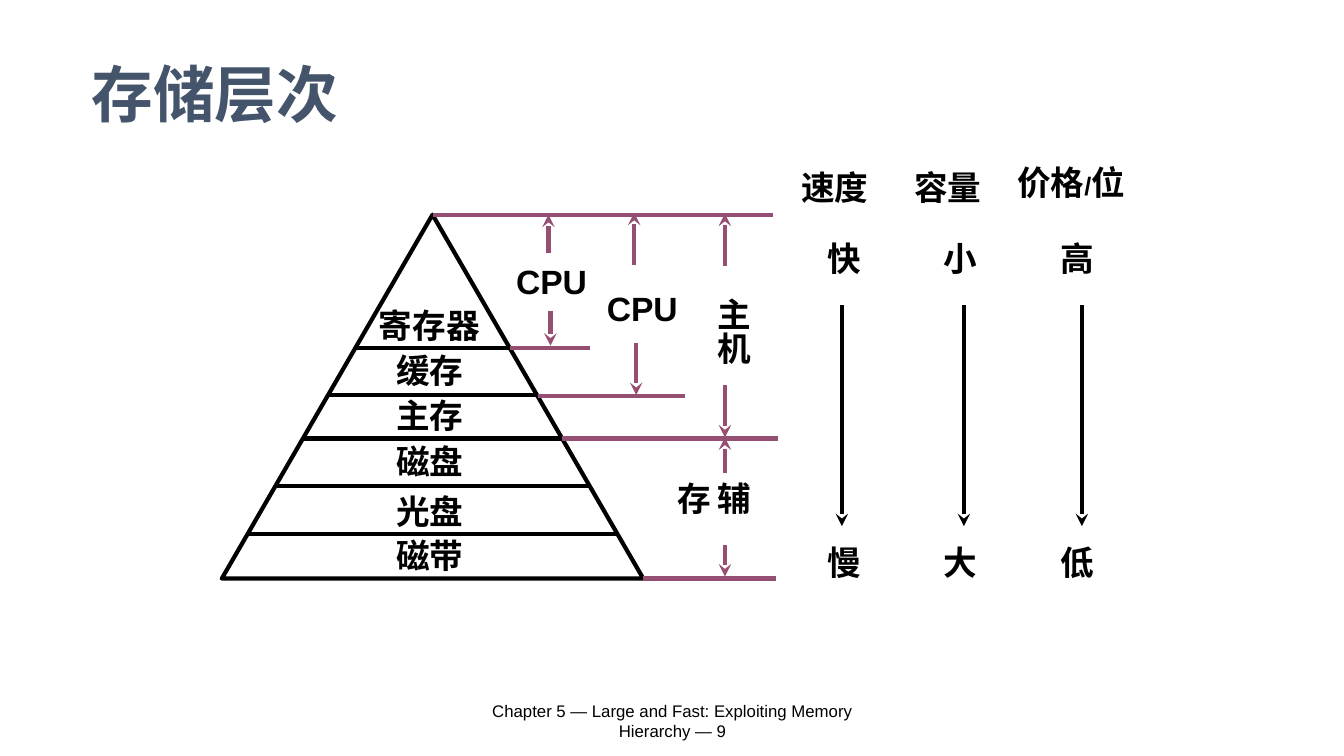
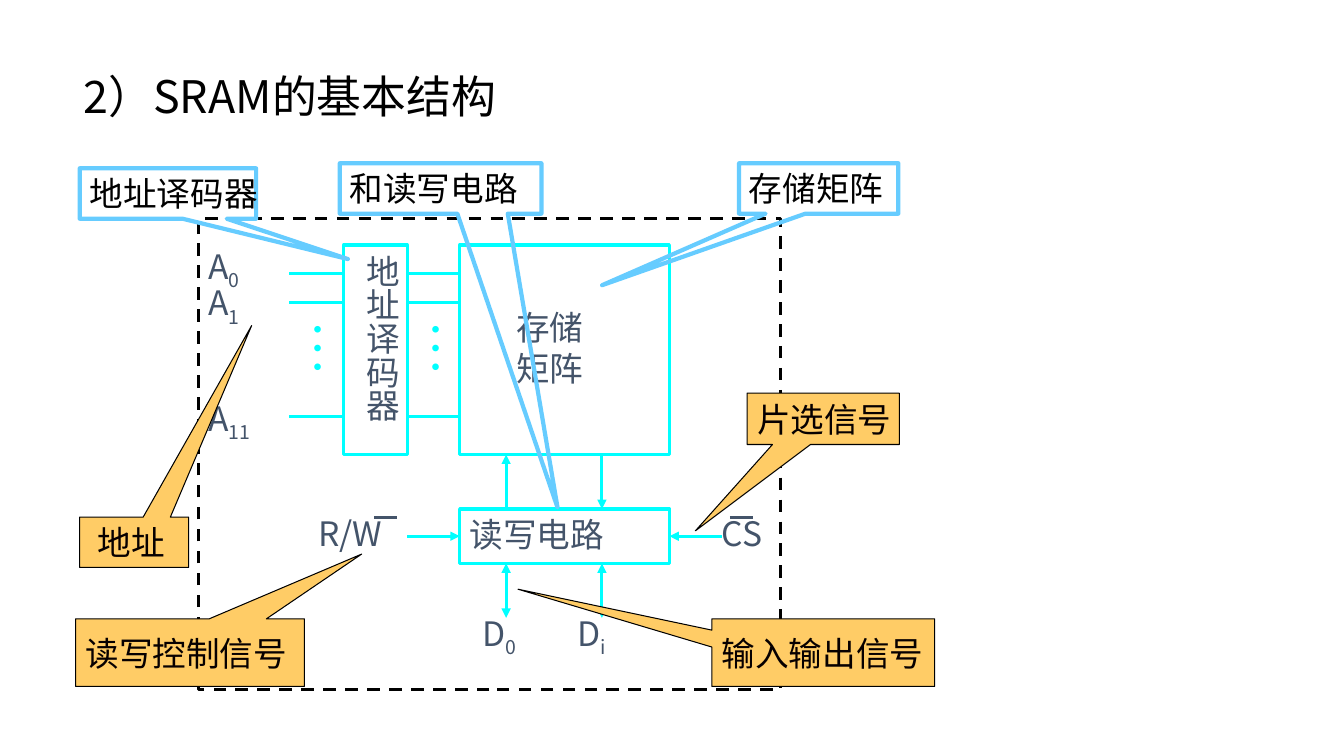
"""Build two slides: the memory hierarchy and the structure of an SRAM."""
from lxml import etree
from pptx import Presentation
from pptx.dml.color import RGBColor
from pptx.enum.dml import MSO_LINE
from pptx.enum.shapes import MSO_CONNECTOR, MSO_SHAPE
from pptx.enum.text import MSO_ANCHOR, PP_ALIGN
from pptx.oxml.ns import qn
from pptx.util import Inches, Pt

RECTANGLE, TRIANGLE = MSO_SHAPE.RECTANGLE, MSO_SHAPE.ISOSCELES_TRIANGLE
CALLOUT = MSO_SHAPE.RECTANGULAR_CALLOUT
STRAIGHT, DASH = MSO_CONNECTOR.STRAIGHT, MSO_LINE.DASH
TOP, MIDDLE = MSO_ANCHOR.TOP, MSO_ANCHOR.MIDDLE
LEFT, CENTER = PP_ALIGN.LEFT, PP_ALIGN.CENTER
LEFT_SIDE, RIGHT_SIDE = 1, 3

COLORS = {"black": "000000", "ink": "070000", "slate": "44546A", "plum": "954F72",
          "cyan": "00FFFF", "sky": "66CCFF", "amber": "FFCC66"}
ASIAN = "Noto Sans CJK SC"
ARIAL, CALIBRI, TIMES = "Arial", "Calibri", "Times New Roman"

APEX_X, APEX_Y, BASE_Y, HALF_BASE = 4.29, 2.13, 5.74, 2.09
LEVEL_LINES = [3.45, 3.92, 4.35, 4.82, 5.3]
LEVELS = [("寄存器", 3.66, 2.98, 1.21), ("缓存", 3.83, 3.42, 0.87),
          ("主存", 3.83, 3.87, 0.87), ("磁盘", 3.83, 4.33, 0.87),
          ("光盘", 3.83, 4.82, 0.87), ("磁带", 3.83, 5.26, 0.87)]
GUIDES = [(2.13, 7.67), (3.45, 5.85), (3.93, 6.79), (4.35, 7.72), (5.74, 7.7)]
SPANS = [(5.44, 2.51, 2.13), (5.46, 3.09, 3.43), (6.29, 2.63, 2.11), (6.31, 3.4, 3.92),
         (7.19, 2.64, 2.12), (7.19, 3.82, 4.34), (7.19, 4.69, 4.34), (7.19, 5.41, 5.72)]
SPAN_LABELS = [("CPU", (5.02, 2.54, 0.91, 0.51), {}),
               ("CPU", (5.92, 2.81, 0.91, 0.51), {}),
               ("主机", (6.91, 2.86, 0.61, 0.76), {"vertical": True}),
               ("辅存", (6.91, 4.68, 0.61, 0.83), {"vertical": True, "wrap": True})]
TRENDS = [("快", "慢", 8.11, 8.35), ("小", "大", 9.26, 9.56), ("高", "低", 10.42, 10.73)]
TREND_HEADS = [("速度", (7.85, 1.61, 0.88, 0.51), False),
               ("容量", (8.97, 1.61, 0.88, 0.51), False),
               ([["价格", ("/", {"size": 18}), "位"]], (9.99, 1.56, 1.29, 0.51), True)]

BUS_STARTS, BUS_ROWS, BUS_LENGTH = [2.87, 4.04], [2.71, 3, 4.13], 0.52
DATA_COLUMNS = [5.02, 5.97]
SUBSCRIPT = {"subscript": True}
ADDRESS_PINS = [["A", ("0", SUBSCRIPT)], ["A", ("1", SUBSCRIPT)], ["A", ("11", SUBSCRIPT)]]
PINS = [("R/W", (3.06, 5.04, 1.18, 0.5)), ("CS", (7.06, 5.04, 0.68, 0.5)),
        ([["D", ("0", SUBSCRIPT)]], (4.69, 6.03, 0.68, 0.5)),
        ([["D", ("i", SUBSCRIPT)]], (5.63, 6.03, 0.68, 0.5))]
OVERBARS = [3.71, 7.24]
PART_CALLOUTS = [("存储矩阵", (7.33, 1.62, 1.58, 0.5), (-1.36, 1.92)),
                 ("地址译码器", (0.79, 1.67, 1.75, 0.5), (1.02, 1.3)),
                 ("和读写电路", (3.37, 1.62, 2, 0.5), (0.58, 6.33))]
SIGNAL_CALLOUTS = [("地址", (0.79, 5.13, 1.08, 0.5), (1.08, -4.3)),
                   ("读写控制信号", (0.75, 6.14, 2.27, 0.67), (0.75, -1.46)),
                   ("片选信号", (7.41, 3.9, 1.51, 0.51), (-0.84, 2.18)),
                   ("输入输出信号", (7.06, 6.14, 2.21, 0.67), (-1.37, -0.94))]


def rgb(name):
    return RGBColor.from_string(COLORS[name])


def write(box, lines, size=24, font=ARIAL, color="black", bold=False, wrap=False,
          vertical=False, anchor=TOP, align=LEFT):
    frame = box.text_frame
    frame.word_wrap, frame.vertical_anchor = wrap, anchor
    if vertical:
        frame._txBody.bodyPr.set("vert", "eaVert")
    for index, line in enumerate([[lines]] if isinstance(lines, str) else lines):
        para = frame.add_paragraph() if index else frame.paragraphs[0]
        para.alignment = align
        for piece in line:
            text, extra = (piece, {}) if isinstance(piece, str) else piece
            span = para.add_run()
            span.text = text
            span.font.name, span.font.bold = font, bold
            span.font.size = Pt(extra.get("size", size))
            span.font.color.rgb = rgb(color)
            properties = span._r.get_or_add_rPr()
            etree.SubElement(properties, qn("a:ea")).set("typeface", ASIAN)
            if extra.get("subscript"):
                properties.set("baseline", "-25000")
    return box


def add_text(page, lines, place, **style):
    box = page.shapes.add_textbox(*map(Inches, place))
    return write(box, lines, **style)


def add_shape(page, kind, place, color, width, fill=None, dash=None):
    shape = page.shapes.add_shape(kind, *map(Inches, place))
    shape.shadow.inherit = False
    if fill:
        shape.fill.solid()
        shape.fill.fore_color.rgb = rgb(fill)
    else:
        shape.fill.background()
    shape.line.color.rgb, shape.line.width = rgb(color), Pt(width)
    if dash:
        shape.line.dash_style = dash
    return shape


def add_line(page, start, end, color, width, head=None, tail=None):
    line = page.shapes.add_connector(STRAIGHT, *map(Inches, (*start, *end)))
    line.line.color.rgb, line.line.width = rgb(color), Pt(width)
    outline = line.line._get_or_add_ln()
    for tag, arrow in (("a:headEnd", head), ("a:tailEnd", tail)):
        if arrow:
            etree.SubElement(outline, qn(tag)).set("type", arrow)
    etree.SubElement(line._element.spPr, qn("a:effectLst"))
    return line


def half_width(y):
    return HALF_BASE * (y - APEX_Y) / (BASE_Y - APEX_Y)


def build_hierarchy(page):
    add_text(page, "存储层次", (0.81, 0.51, 9.03, 0.83), size=44, color="slate",
             bold=True, wrap=True)
    add_shape(page, TRIANGLE, (APEX_X - HALF_BASE, APEX_Y, 2 * HALF_BASE, BASE_Y - APEX_Y),
              "black", 3)
    for y in LEVEL_LINES:
        add_line(page, (APEX_X - half_width(y), y), (APEX_X + half_width(y), y), "black", 3)
    for text, left, top, width in LEVELS:
        add_text(page, text, (left, top, width, 0.5), bold=True)
    for y, right in GUIDES:
        add_line(page, (APEX_X + half_width(y), y), (right, y), "plum", 3)
    for x, start, end in SPANS:
        add_line(page, (x, start), (x, end), "plum", 3, tail="stealth")
    for text, place, style in SPAN_LABELS:
        add_text(page, text, place, bold=True, **style)
    for lines, place, wrap in TREND_HEADS:
        add_text(page, lines, place, bold=True, wrap=wrap)
    for first, last, left, x in TRENDS:
        for text, top in ((first, 2.31), (last, 5.33)):
            add_text(page, text, (left, top, 0.54, 0.5), bold=True)
        add_line(page, (x, 3.03), (x, 5.22), "black", 3, tail="stealth")
    add_text(page, "Chapter 5 — Large and Fast: Exploiting Memory Hierarchy — 9",
             (4.42, 6.95, 4.5, 0.4), size=12, wrap=True, anchor=MIDDLE, align=CENTER)


def build_sram(page):
    add_text(page, "2）SRAM的基本结构", (0.73, 0.63, 5.05, 0.63), size=32, font=ASIAN,
             wrap=True)
    label = {"font": CALIBRI, "color": "slate", "wrap": True}
    add_shape(page, RECTANGLE, (1.97, 2.17, 5.77, 4.67), "black", 2.25, dash=DASH)
    decoder = add_shape(page, RECTANGLE, (3.41, 2.43, 0.63, 2.08), "cyan", 2.25)
    write(decoder, "地址译码器", vertical=True, **label)
    add_shape(page, RECTANGLE, (4.56, 2.43, 2.08, 2.08), "cyan", 2.25)
    add_text(page, [["存储"], ["矩阵"]], (5.02, 3, 1.13, 0.9), **label)
    circuit = add_shape(page, RECTANGLE, (4.56, 5.05, 2.08, 0.54), "cyan", 2.5)
    write(circuit, "读写电路", **label)

    for x in BUS_STARTS:
        for y in BUS_ROWS:
            add_line(page, (x, y), (x + BUS_LENGTH, y), "cyan", 2.25)
        add_text(page, "…", (x - 0.01, 3.08, 0.87, 0.82), size=40, font=TIMES,
                 color="cyan", wrap=True, vertical=True)
    up, down = DATA_COLUMNS
    add_line(page, (up, 5.05), (up, 4.51), "cyan", 2.25, tail="triangle")
    add_line(page, (down, 4.51), (down, 5.05), "cyan", 2.25, tail="triangle")
    for x in DATA_COLUMNS:
        add_line(page, (x, 6.13), (x, 5.59), "cyan", 2.25, head="triangle", tail="triangle")
    for start, end, side in ((4.04, 4.56, LEFT_SIDE), (7.16, 6.64, RIGHT_SIDE)):
        arrow = add_line(page, (start, 5.32), (end, 5.32), "cyan", 2.25, tail="triangle")
        arrow.end_connect(circuit, side)

    pin = {"font": ASIAN, "color": "slate", "wrap": True}
    address = add_text(page, ADDRESS_PINS, (1.97, 2.43, 1.17, 1.98), **pin)
    first, second, last = address.text_frame.paragraphs
    first.line_spacing = second.line_spacing = 0.8
    last.space_before = Pt(53)
    for lines, place in PINS:
        add_text(page, lines, place, **pin)
    for x in OVERBARS:
        add_line(page, (x, 5.13), (x + 0.23, 5.13), "slate", 2)

    for callouts, color, width, fill, ink in (
            (PART_CALLOUTS, "sky", 3, None, "black"),
            (SIGNAL_CALLOUTS, "black", 0.75, "amber", "ink")):
        for text, place, tip in callouts:
            callout = add_shape(page, CALLOUT, place, color, width, fill)
            callout.adjustments[0], callout.adjustments[1] = tip
            write(callout, text, font=TIMES, color=ink, anchor=MIDDLE)
            if text == "地址":
                callout.text_frame.margin_left = Inches(0.18)


def main():
    deck = Presentation()
    deck.slide_width, deck.slide_height = Inches(13.33), Inches(7.5)
    for build in (build_hierarchy, build_sram):
        build(deck.slides.add_slide(deck.slide_layouts[6]))
    deck.save("out.pptx")


if __name__ == "__main__":
    main()
